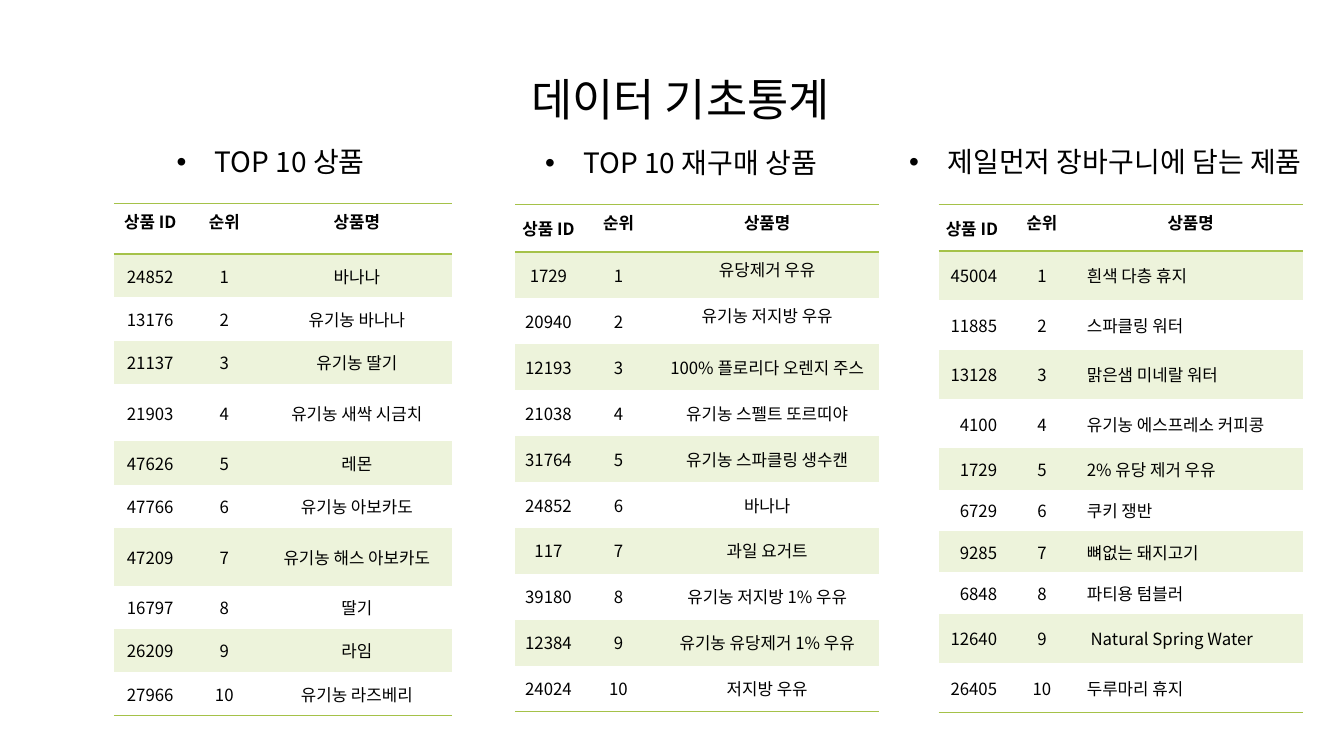
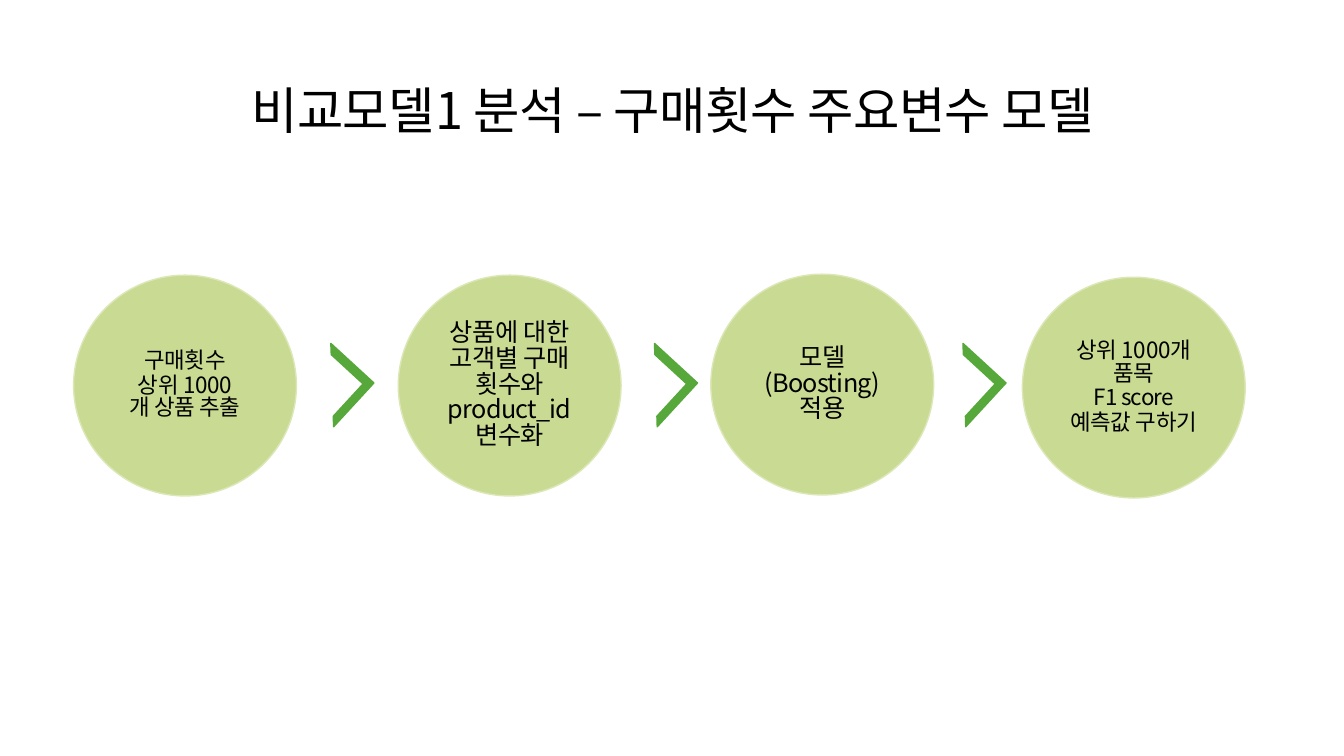
from lxml import etree
from pptx import Presentation
from pptx.dml.color import RGBColor
from pptx.enum.shapes import MSO_SHAPE as SHAPE
from pptx.enum.text import MSO_ANCHOR as ANCHOR, PP_ALIGN as ALIGN
from pptx.oxml.ns import qn
from pptx.util import Inches, Pt

COLORS = {
    "text": "000000",
    "rule": "A5C249",
    "band": "EDF3DB",
    "circle": "C9DA92",
    "circle_line": "DBE7B6",
    "chevron": "55A839",
}
FONT = "Noto Sans CJK KR"
STEP_FONT = "Noto Sans CJK JP"
NO_STYLE = "{2D5ABB26-0587-4C30-8999-92F81FD0307C}"
HEADERS = ("상품 ID", "순위", "상품명")

TOP_PRODUCTS = [
    ("24852", "바나나"), ("13176", "유기농 바나나"), ("21137", "유기농 딸기"),
    ("21903", "유기농 새싹 시금치"), ("47626", "레몬"), ("47766", "유기농 아보카도"),
    ("47209", "유기농 해스 아보카도"), ("16797", "딸기"), ("26209", "라임"),
    ("27966", "유기농 라즈베리"),
]
TOP_REORDERED = [
    ("1729", "유당제거 우유"), ("20940", "유기농 저지방 우유"),
    ("12193", "100% 플로리다 오렌지 주스"), ("21038", "유기농 스펠트 또르띠야"),
    ("31764", "유기농 스파클링 생수캔"), ("24852", "바나나"), ("117", "과일 요거트"),
    ("39180", "유기농 저지방 1% 우유"), ("12384", "유기농 유당제거 1% 우유"),
    ("24024", "저지방 우유"),
]
FIRST_IN_CART = [
    ("45004", "흰색 다층 휴지"), ("11885", "스파클링 워터"), ("13128", "맑은샘 미네랄 워터"),
    ("4100", "유기농 에스프레소 커피콩"), ("1729", "2% 유당 제거 우유"), ("6729", "쿠키 쟁반"),
    ("9285", "뼈없는 돼지고기"), ("6848", "파티용 텀블러"),
    ("12640", " Natural Spring Water"), ("26405", "두루마리 휴지"),
]
# left, top, size, paragraphs
STEPS = [
    (0.73, 2.73, 16, ["구매횟수", "상위 1000\v개 상품 추출"]),
    (3.95, 2.73, 18, ["상품에 대한\v고객별 구매\v횟수와\vproduct_id\v변수화"]),
    (7.05, 2.72, 18, ["모델\v(Boosting)\v적용"]),
    (10.14, 2.75, 16, ["상위 1000개\v품목", "F1 score", "예측값 구하기"]),
]


def rgb(name):
    return RGBColor.from_string(COLORS[name])


def box(left, top, width, height):
    return [Inches(v) for v in (left, top, width, height)]


def format_run(r, size, font=FONT, bold=False, spacing=0):
    """Style a run for Latin and Korean glyphs; spacing is in points."""
    r.font.size = Pt(size)
    r.font.bold = bold
    r.font.name = font
    r.font.color.rgb = rgb("text")
    rPr = r.font._element if hasattr(r.font, "_element") else r._r.get_or_add_rPr()
    etree.SubElement(rPr, qn("a:ea"), typeface=font)
    if spacing:
        rPr.set("spc", str(round(spacing * 100)))


def add_title_slide(prs, text, left, top, size, spacing=0):
    slide = prs.slides.add_slide(prs.slide_layouts[5])
    title = slide.shapes.title
    title.left, title.top, title.width, title.height = box(left, top, 11.5, 1.45)
    tf = title.text_frame
    tf.text = text
    tf.vertical_anchor = ANCHOR.MIDDLE
    p = tf.paragraphs[0]
    p.alignment = ALIGN.CENTER
    p.line_spacing = 0.9
    format_run(p.runs[0], size, spacing=spacing)
    return slide


def add_bullet_heading(slide, text, left, top, width):
    tf = slide.shapes.add_textbox(*box(left, top, width, 0.33)).text_frame
    tf.word_wrap = True
    tf.vertical_anchor = ANCHOR.MIDDLE
    p = tf.paragraphs[0]
    p.text = text
    p.alignment = ALIGN.CENTER
    p.line_spacing = 0.9
    format_run(p.runs[0], 20)
    pPr = p._p.get_or_add_pPr()
    pPr.set("marL", str(Inches(0.38)))
    pPr.set("indent", str(-Inches(0.38)))
    etree.SubElement(pPr, qn("a:buFont"), typeface="Arial")
    etree.SubElement(pPr, qn("a:buChar"), char="•")


def add_rule(cell, side):
    """Draw a border on side T or B; call before the cell gets its fill."""
    tcPr = cell._tc.get_or_add_tcPr()
    ln = etree.SubElement(tcPr, qn(f"a:ln{side}"), w=str(Pt(1)))
    fill = etree.SubElement(ln, qn("a:solidFill"))
    etree.SubElement(fill, qn("a:srgbClr"), val=COLORS["rule"])


def fill_cell(cell, text, align, anchor, inset, bold):
    cell.text = text
    cell.vertical_anchor = anchor
    cell.margin_left = cell.margin_right = Inches(inset[0])
    cell.margin_top = cell.margin_bottom = Inches(inset[1])
    p = cell.text_frame.paragraphs[0]
    p.alignment = align
    format_run(p.runs[0], 12, bold=bold)


def add_ranking(slide, products, at, cols, rows, inset=(0.1, 0.05),
                id_head_inset=None, top_names=0,
                id_align=ALIGN.CENTER, name_align=ALIGN.CENTER):
    """Ranked product table; the first top_names names sit at the cell top."""
    plain = (0.1, 0.05)
    frame = slide.shapes.add_table(len(rows), len(cols), *box(*at, sum(cols), sum(rows)))
    next(frame.element.iter(qn("a:tableStyleId"))).text = NO_STYLE
    table = frame.table
    for col, width in zip(table.columns, cols):
        col.width = Inches(width)
    for row, height in zip(table.rows, rows):
        row.height = Inches(height)
    lines = [HEADERS] + [(pid, str(n), name) for n, (pid, name) in enumerate(products, 1)]
    aligns = (id_align, ALIGN.CENTER, name_align)
    for i, line in enumerate(lines):
        for j, text in enumerate(line):
            cell = table.cell(i, j)
            head = i == 0
            if head:
                small = j == 0 and id_head_inset
                anchor = ANCHOR.MIDDLE if small else ANCHOR.TOP
                margins = id_head_inset if small else plain
            else:
                top = j == 2 and i <= top_names
                anchor = ANCHOR.TOP if top else ANCHOR.MIDDLE
                margins = plain if top or j == 1 else inset
            fill_cell(cell, text, ALIGN.CENTER if head else aligns[j], anchor, margins, head)
            if head:
                add_rule(cell, "T")
            if head or i == len(lines) - 1:
                add_rule(cell, "B")
            if i % 2:
                cell.fill.solid()
                cell.fill.fore_color.rgb = rgb("band")
            else:
                cell.fill.background()


def add_filled_shape(slide, kind, at, fill, line):
    sp = slide.shapes.add_shape(kind, *box(*at))
    sp.shadow.inherit = False
    sp.fill.solid()
    sp.fill.fore_color.rgb = rgb(fill)
    sp.line.color.rgb = rgb(line)
    sp.line.width = Pt(1)
    return sp


def add_step(slide, left, top, size, paragraphs):
    sp = add_filled_shape(slide, SHAPE.FLOWCHART_CONNECTOR, (left, top, 2.21, 2.19),
                          "circle", "circle_line")
    tf = sp.text_frame
    tf.word_wrap = True
    tf.vertical_anchor = ANCHOR.MIDDLE
    tf.margin_left = tf.margin_right = Inches(0.03)
    tf.text = "\n".join(paragraphs)
    for p in tf.paragraphs:
        p.alignment = ALIGN.CENTER
        p.line_spacing = 0.85
        p.space_before = Pt(1)
        for r in p.runs:
            format_run(r, size, STEP_FONT, spacing=-0.5 if r.text.isascii() else -0.2)


def add_chevron(slide, left):
    sp = add_filled_shape(slide, SHAPE.HALF_FRAME, (left, 3.53, 0.59, 0.58),
                          "chevron", "chevron")
    sp.adjustments[0] = 0.126
    sp.adjustments[1] = 0.137
    sp.rotation = 132.6


def build_statistics(prs):
    slide = add_title_slide(prs, "데이터 기초통계", 1, 0.29, 32)
    add_bullet_heading(slide, "TOP 10 상품", 1, 1.46, 3.37)
    add_bullet_heading(slide, "TOP 10 재구매 상품", 5.07, 1.47, 3.37)
    add_bullet_heading(slide, "제일먼저 장바구니에 담는 제품", 8.88, 1.46, 4.17)
    add_ranking(slide, TOP_PRODUCTS, (1.13, 2.02), (0.72, 0.75, 1.88),
                [0.57 if i in (4, 7) else 0.43 for i in range(11)])
    narrow = (0.66, 0.73, 2.22)
    small = (0.06, 0.03)
    add_ranking(slide, TOP_REORDERED, (5.11, 2.03), narrow, [0.47] + [0.456] * 10,
                inset=small, id_head_inset=small, top_names=2)
    add_ranking(slide, FIRST_IN_CART, (9.31, 2.03), narrow,
                [0.42] + [0.49] * 4 + [0.41] * 4 + [0.49] * 2,
                inset=(0.08, 0.04), id_head_inset=small,
                id_align=ALIGN.RIGHT, name_align=ALIGN.LEFT)


def build_model(prs):
    slide = add_title_slide(prs, "비교모델1 분석 – 구매횟수 주요변수 모델", 0.92, 0.4, 36, -0.4)
    for step in STEPS:
        add_step(slide, *step)
    for left in (3, 6.21, 9.27):
        add_chevron(slide, left)


def main():
    prs = Presentation()
    prs.slide_width, prs.slide_height = Inches(13.33), Inches(7.5)
    build_statistics(prs)
    build_model(prs)
    prs.save("out.pptx")


if __name__ == "__main__":
    main()
